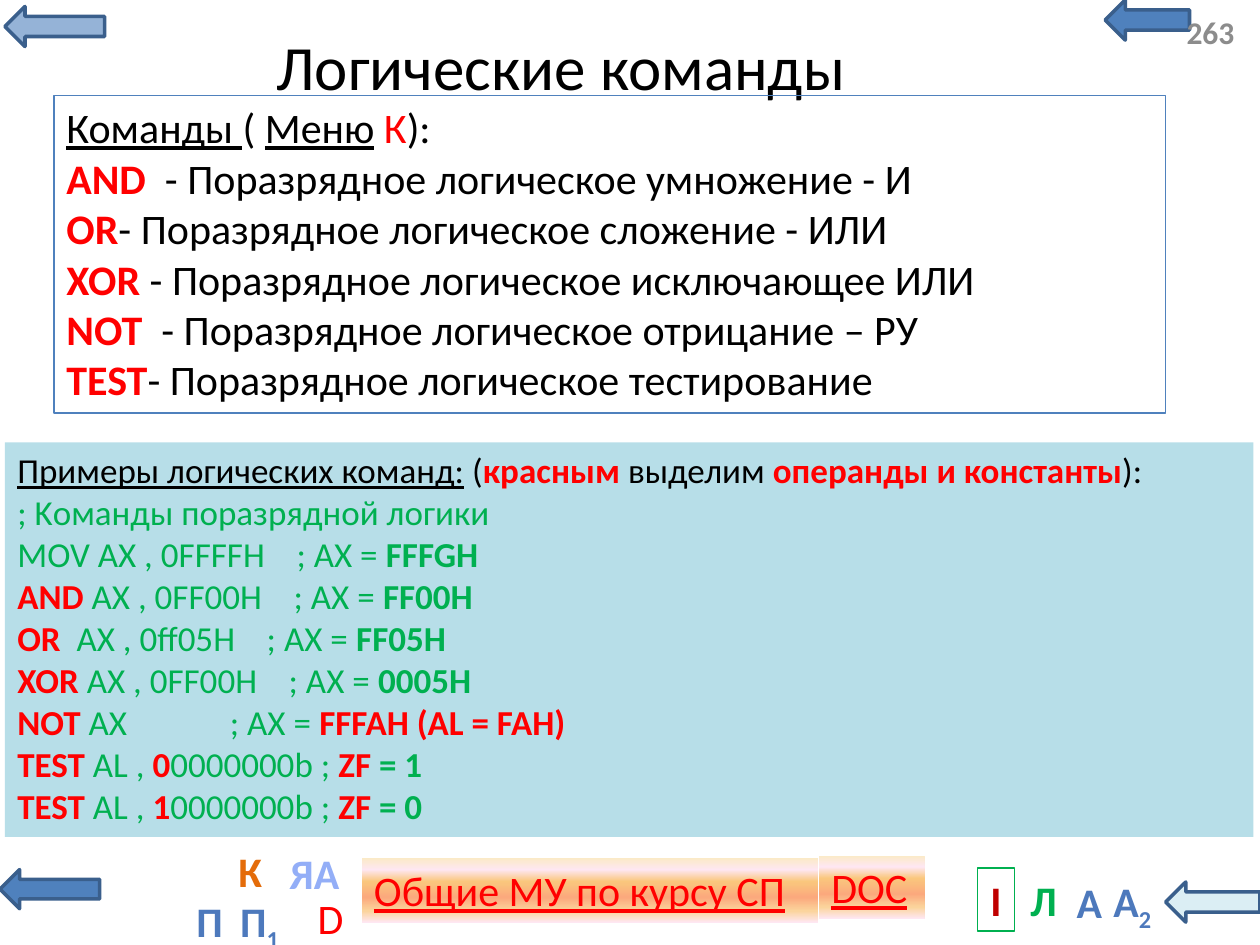
"""Build the slide about logical commands."""
from typing import NamedTuple, Optional

from lxml import etree
from pptx import Presentation
from pptx.dml.color import RGBColor
from pptx.enum import shapes, text
from pptx.oxml.ns import qn
from pptx.util import Cm, Pt

COLORS = {
    "black": "000000", "red": "FF0000", "green": "00B050", "blue": "4F81BD",
    "edge": "3A5F8C", "steel": "95B3D7", "ice": "DBEEF4", "panel": "B7DEE8",
    "letter": "4D79BC", "orange": "E46C0A", "crimson": "C00000",
    "lilac": "93AEF7", "gray": "8C8C8C", "white": "FFFFFF",
}
SUNRISE = [(0, "FBEAC7"), (18, "FEE7F2"), (36, "FAC77D"),
           (61, "FBA97D"), (82, "FBD49C"), (100, "FEE7F2")]


class Run(NamedTuple):
    text: str
    color: str = "black"
    bold: bool = False
    underline: bool = False
    baseline: int = 0


class Box(NamedTuple):
    x: float
    y: float
    w: float
    h: float = 1.27


class Arrow(NamedTuple):
    box: Box
    fill: str


class Letter(NamedTuple):
    box: Box
    text: str
    color: str = "letter"
    sub: str = ""
    bold: bool = True
    line: Optional[str] = None


def red(s: str) -> Run:
    return Run(s, "red", True)


def green(s: str, bold: bool = False) -> Run:
    return Run(s, "green", bold)


def example(name: str, args: str, result: Run) -> list[Run]:
    return [red(name), green(args), result]


def flag_test(bit: str, value: str) -> list[Run]:
    return [red("TEST"), green(" AL , "), red(bit), green("0000000b ; "),
            red("ZF"), green(f" = {value}", True)]


ARROWS = [
    Arrow(Box(22.28, 0, 1.7, 0.81), "blue"),
    Arrow(Box(0, 17.53, 2.01, 0.79), "blue"),
    Arrow(Box(0.1, 0.13, 2.01, 0.81), "steel"),
    Arrow(Box(23.5, 17.78, 1.9, 0.81), "ice"),
]
BUTTONS = [(Box(7.29, 17.3, 9.2, 1.3), "Общие МУ по курсу СП"),
           (Box(16.51, 17.25, 2.13), "DOC")]
LETTERS = [
    Letter(Box(21.44, 17.55, 1.04), "А"),
    Letter(Box(4.55, 16.92, 0.99), "К", "orange"),
    Letter(Box(6.17, 17.86, 0.99), "D", "red", bold=False, line="white"),
    Letter(Box(19.71, 17.5, 0.74), "I", "crimson", line="green"),
    Letter(Box(20.52, 17.5, 1.04), "Л", "green"),
    Letter(Box(22.15, 17.53, 1.35), "А", sub="2"),
    Letter(Box(5.54, 16.97, 1.6), "ЯА", "lilac"),
    Letter(Box(3.71, 17.93, 0.84), "П"),
    Letter(Box(4.55, 17.93, 1.37), "П", sub="1"),
]
COMMANDS = [
    ("AND  ", "умножение - И"), ("OR", "сложение - ИЛИ"),
    ("XOR ", "исключающее ИЛИ"), ("NOT  ", "отрицание – РУ"),
    ("TEST", "тестирование"),
]
COMMAND_TEXT = [[Run("Команды ", underline=True), Run("( "),
                 Run("Меню", underline=True), Run(" К", "red"), Run("):")]]
COMMAND_TEXT += [[red(name), Run(f"- Поразрядное логическое {meaning}")]
                 for name, meaning in COMMANDS]
EXAMPLES = [
    [Run("Примеры логических команд:", underline=True), Run(" ("),
     red("красным"), Run(" выделим "), red("операнды и константы"), Run("):")],
    [green("; Kоманды поразрядной логики")],
    [green("MOV AX , 0FFFFH    ; AX = "), green("FFFGH", True)],
    example("AND", " AX , 0FF00H    ; AX = ", green("FF00H", True)),
    example("OR", "  AX , 0ff05H    ; AX = ", green("FF05H", True)),
    example("XOR", " AX , 0FF00H    ; AX = ", green("0005H", True)),
    example("NOT", " AX             ; AX = ", red("FFFAH (AL = FAH)")),
    flag_test("0", "1"),
    flag_test("1", "0"),
]


def rgb(name: str) -> RGBColor:
    return RGBColor.from_string(COLORS[name])


def write(sp, paragraphs: list[list[Run]], *, size: float = 24,
          align=text.PP_ALIGN.LEFT, anchor=text.MSO_ANCHOR.TOP,
          wrap: bool = True) -> None:
    tf = sp.text_frame
    tf.word_wrap = wrap
    tf.vertical_anchor = anchor
    for i, runs in enumerate(paragraphs):
        p = tf.add_paragraph() if i else tf.paragraphs[0]
        p.alignment = align
        for item in runs:
            r = p.add_run()
            r.text = item.text
            r.font.name = "Calibri"
            r.font.size = Pt(size)
            r.font.bold = item.bold
            r.font.underline = item.underline
            r.font.color.rgb = rgb(item.color)
            if item.baseline:
                r.font._element.set("baseline", str(item.baseline * 1000))


def add_shape(s, box: Box, kind=shapes.MSO_SHAPE.RECTANGLE, *,
              fill: Optional[str] = None, line: Optional[str] = None,
              width: float = 0.75):
    sp = s.shapes.add_shape(kind, *map(Cm, box))
    sp.shadow.inherit = False
    if fill:
        sp.fill.solid()
        sp.fill.fore_color.rgb = rgb(fill)
    else:
        sp.fill.background()
    if line:
        sp.line.color.rgb = rgb(line)
        sp.line.width = Pt(width)
    else:
        sp.line.fill.background()
    return sp


def add_button(s, box: Box, label: str) -> None:
    sp = add_shape(s, box)
    sp.fill.gradient()
    sp.fill.gradient_angle = 270
    stops = sp._element.spPr.find(".//" + qn("a:gsLst"))
    for stop in list(stops):
        stops.remove(stop)
    for pos, color in SUNRISE:
        gs = etree.SubElement(stops, qn("a:gs"), pos=str(pos * 1000))
        etree.SubElement(gs, qn("a:srgbClr"), val=color)
    write(sp, [[Run(label, "red", underline=True)]])


def add_letter(s, letter: Letter) -> None:
    if letter.line:
        sp = add_shape(s, letter.box, line=letter.line)
    else:
        sp = s.shapes.add_textbox(*map(Cm, letter.box))
    runs = [Run(letter.text, letter.color, letter.bold)]
    if letter.sub:
        runs.append(Run(letter.sub, letter.color, letter.bold, baseline=-25))
    write(sp, [runs], align=text.PP_ALIGN.CENTER, wrap=False)


def main() -> None:
    prs = Presentation()
    prs.slide_width, prs.slide_height = Cm(25.4), Cm(19.05)
    s = prs.slides.add_slide(prs.slide_layouts[5])
    title = s.shapes.title
    title.left, title.top, title.width, title.height = map(
        Cm, Box(3.51, 0.33, 15.6, 1.96))
    write(title, [[Run("Логические команды")]], size=36,
          align=text.PP_ALIGN.CENTER, anchor=text.MSO_ANCHOR.MIDDLE)
    for arrow in ARROWS:
        add_shape(s, arrow.box, shapes.MSO_SHAPE.LEFT_ARROW,
                  fill=arrow.fill, line="edge", width=2)
    for box, label in BUTTONS:
        add_button(s, box, label)
    for letter in LETTERS:
        add_letter(s, letter)
    number = s.shapes.add_textbox(*map(Cm, Box(23.67, 0.13, 1.63, 1.02)))
    write(number, [[Run("263", "gray", True)]], size=18,
          anchor=text.MSO_ANCHOR.MIDDLE)
    panel = add_shape(s, Box(0.1, 8.92, 25.17, 7.95), fill="panel")
    write(panel, EXAMPLES, size=20)
    commands = add_shape(s, Box(1.09, 1.93, 22.4, 6.4), line="blue")
    write(commands, COMMAND_TEXT)
    prs.save("out.pptx")


if __name__ == "__main__":
    main()
